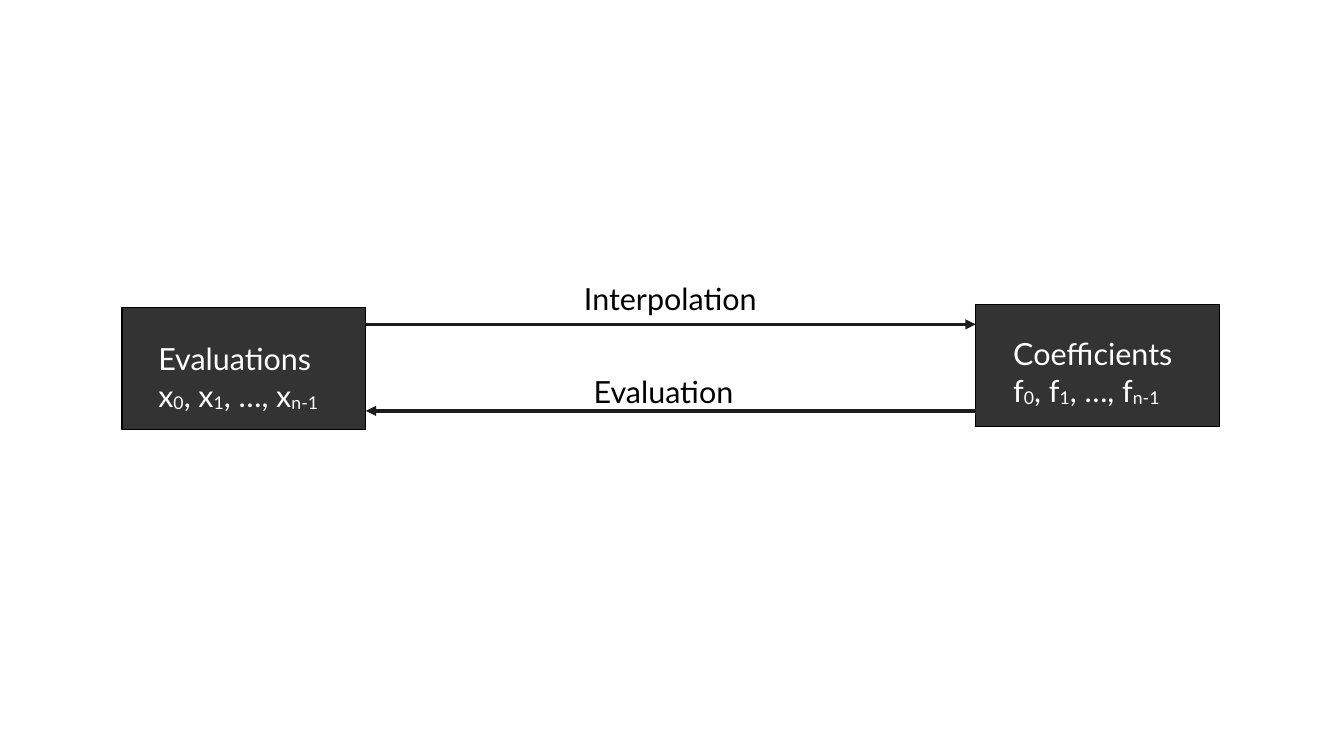
import pptx
import pptx.dml.color
import pptx.enum.shapes
import pptx.enum.text
import pptx.oxml.ns
import pptx.util
from lxml import etree

Inches = pptx.util.Inches
Pt = pptx.util.Pt
COLORS = {"box": "333333", "edge": "000000", "arrow": "1C1C1C",
          "light": "FFFFFF", "dark": "000000"}


def color(name):
    return pptx.dml.color.RGBColor.from_string(COLORS[name])


class Board:
    """Holds the text style and the current slide."""

    font = "Lato"
    size = 18
    drop = "-8000"

    def __init__(self, slide):
        self.shapes = slide.shapes

    def box(self, x, y, w, h):
        kind = pptx.enum.shapes.MSO_SHAPE.RECTANGLE
        rect = self.shapes.add_shape(kind, Inches(x), Inches(y), Inches(w), Inches(h))
        rect.shadow.inherit = False
        rect.fill.solid()
        rect.fill.fore_color.rgb = color("box")
        rect.line.color.rgb = color("edge")
        rect.line.width = Pt(0)

    def arrow(self, start, end, y):
        kind = pptx.enum.shapes.MSO_CONNECTOR.STRAIGHT
        line = self.shapes.add_connector(kind, Inches(start), Inches(y), Inches(end), Inches(y))
        line.line.color.rgb = color("arrow")
        line.line.width = Pt(0)
        # Arrowhead, and no shadow
        qn = pptx.oxml.ns.qn
        props = line._element.spPr
        etree.SubElement(props.find(qn("a:ln")), qn("a:tailEnd"), type="triangle")
        etree.SubElement(props, qn("a:effectLst"))

    def text(self, x, y, w, h, lines, ink):
        """Write lines of text; parts between underscores are subscripts."""
        frame = self.shapes.add_textbox(Inches(x), Inches(y), Inches(w), Inches(h)).text_frame
        frame.word_wrap = True
        frame.auto_size = pptx.enum.text.MSO_AUTO_SIZE.SHAPE_TO_FIT_TEXT
        for row, line in enumerate(lines):
            para = frame.add_paragraph() if row else frame.paragraphs[0]
            for i, part in enumerate(line.split("_")):
                if not part:
                    continue
                run = para.add_run()
                run.text = part
                run.font.name = self.font
                run.font.size = Pt(self.size)
                run.font.color.rgb = color(ink)
                if i % 2:
                    run._r.get_or_add_rPr().set("baseline", self.drop)


def main():
    deck = pptx.Presentation()
    deck.slide_width, deck.slide_height = Inches(11.02), Inches(6.2)
    board = Board(deck.slides.add_slide(deck.slide_layouts[6]))

    # Boxes
    wide, high = 2, 1
    left, right = 1, 8
    board.box(left, 2.52, wide, high)
    board.box(right, 2.5, wide, high)

    # Arrows between the boxes
    board.arrow(left + wide, right, 2.66)
    board.arrow(right, left + wide, 3.37)

    # Text in the boxes
    for x, y, title, var in ((1.2, 2.74, "Evaluations", "x"),
                             (8.21, 2.7, "Coefficients", "f")):
        series = f"{var}_0_, {var}_1_, …, {var}_n-1_"
        board.text(x, y, 1.7, 0.78, [title, series], "light")

    # Arrow labels
    board.text(4.69, 2.25, 1.9, 0.44, ["Interpolation"], "dark")
    board.text(4.77, 3.01, 1.9, 0.44, ["Evaluation"], "dark")

    deck.save("out.pptx")


if __name__ == "__main__":
    main()
